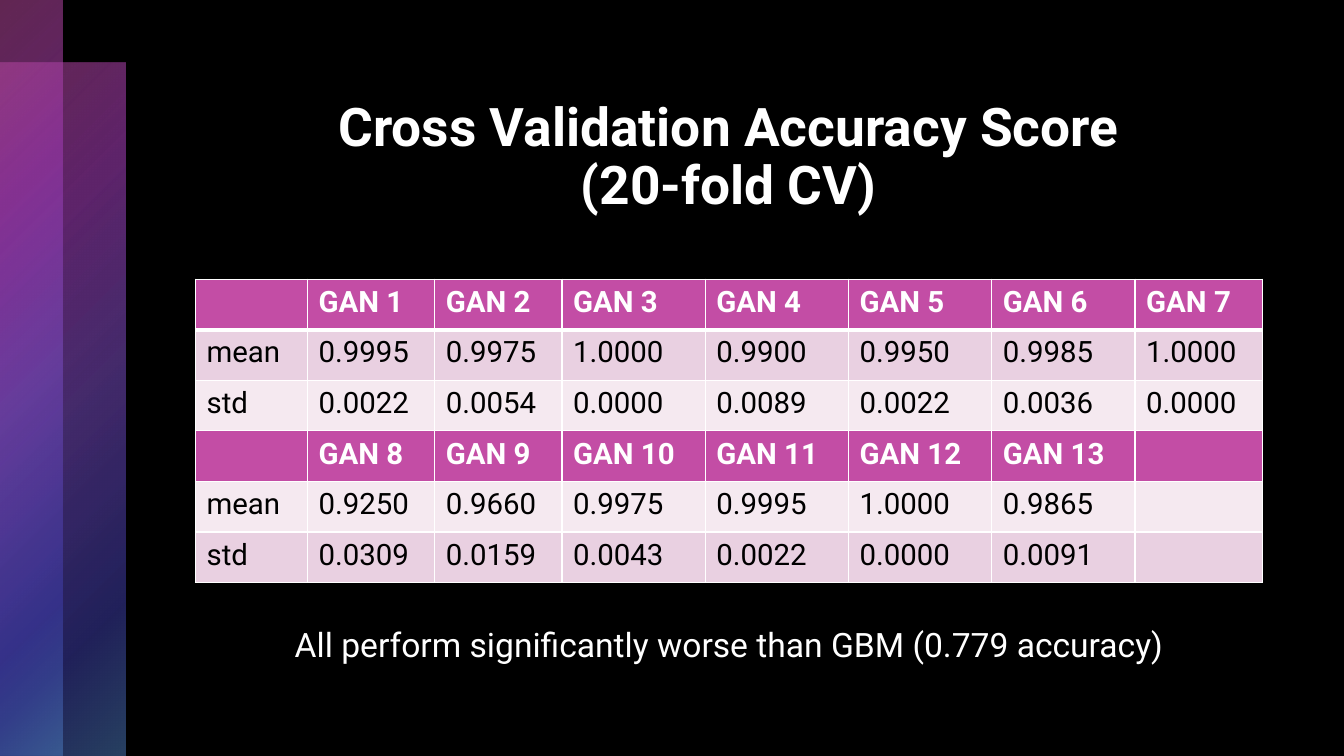
from dataclasses import dataclass

from pptx import Presentation
from pptx.dml.color import RGBColor
from pptx.enum.shapes import MSO_SHAPE as Shape
from pptx.enum.text import MSO_ANCHOR as Anchor, MSO_AUTO_SIZE as Fit, PP_ALIGN as Align
from pptx.oxml import parse_xml
from pptx.util import Emu, Inches, Pt

WIDE, HIGH = Inches(13.33), Inches(7.5)
FONT = "Roboto"
WHITE, BLACK, PINK, ROSE, PALE = "FFFFFF", "000000", "C34DA5", "E9D0E1", "F5E9F0"
NS = 'xmlns:a="http://schemas.openxmlformats.org/drawingml/2006/main"'
STOPS = [(0, PINK, 50), (25, "9E3BB1", 60), (50, "7E4DC3", 55), (81, "4141B4", 50), (99, "4D7EC3", 50)]


@dataclass(frozen=True)
class Box:
    """A place on a grid of 100 columns by 100 rows."""
    col: float
    row: float
    cols: float
    rows: float

    def emu(self) -> tuple[Emu, Emu, Emu, Emu]:
        """Give left, top, width and height."""
        return across(self.col), down(self.row), across(self.cols), down(self.rows)


@dataclass(frozen=True)
class Row:
    """One table row with its look."""
    cells: tuple[str, ...]
    fill: str
    head: bool = False
    top: int = 1
    base: int = 1


BANDS = [Box(0, 8.27, 9.3, 91.73), Box(0, 0, 4.65, 100)]
TITLE = Box(14.55, 12.67, 79.38, 16.53)
GRID = Box(14.55, 36.93, 79.38, 40.13)
NOTE = Box(14.55, 79.6, 79.38, 8.93)
COLS = [8.33] + [9.47] * 2 + [10.66] * 4 + [9.47]
ROWS = [
    Row(("", *(f"GAN {n}" for n in range(1, 8))), PINK, True, base=3),
    Row(("mean", "0.9995", "0.9975", "1.0000", "0.9900", "0.9950", "0.9985", "1.0000"), ROSE, top=3),
    Row(("std", "0.0022", "0.0054", "0.0000", "0.0089", "0.0022", "0.0036", "0.0000"), PALE),
    Row(("", *(f"GAN {n}" for n in range(8, 14)), ""), PINK, True),
    Row(("mean", "0.9250", "0.9660", "0.9975", "0.9995", "1.0000", "0.9865", ""), PALE),
    Row(("std", "0.0309", "0.0159", "0.0043", "0.0022", "0.0000", "0.0091", ""), ROSE),
]


def across(cols: float) -> Emu:
    """Turn grid columns into a length."""
    return Emu(round(WIDE * cols / 100))


def down(rows: float) -> Emu:
    """Turn grid rows into a length."""
    return Emu(round(HIGH * rows / 100))


def paint(fill, tone: str) -> None:
    """Fill with one solid colour."""
    fill.solid()
    fill.fore_color.rgb = RGBColor.from_string(tone)


def write(para, text: str, size: float, tone: str, bold: bool = False) -> None:
    """Add one run to a paragraph."""
    run = para.add_run()
    run.text = text
    run.font.name, run.font.size, run.font.bold = FONT, Pt(size), bold
    paint(run.font.fill, tone)


def place(shape, box: Box) -> None:
    """Move a shape to its box."""
    shape.left, shape.top, shape.width, shape.height = box.emu()


def draw_band(slide, box: Box) -> None:
    """Draw a see-through gradient band."""
    band = slide.shapes.add_shape(Shape.RECTANGLE, *box.emu())
    stops = "".join(
        f'<a:gs pos="{pos * 1000}"><a:srgbClr val="{tone}"><a:alpha val="{alpha * 1000}"/></a:srgbClr></a:gs>'
        for pos, tone, alpha in STOPS)
    band._element.spPr.insert(2, parse_xml(
        f'<a:gradFill {NS} rotWithShape="1"><a:gsLst>{stops}</a:gsLst>'
        '<a:path path="circle"><a:fillToRect r="100000" b="100000"/></a:path></a:gradFill>'))
    band.line.fill.background()
    band.shadow.inherit = False


def draw_title(slide) -> None:
    """Set the two-line title."""
    title = slide.shapes.title
    place(title, TITLE)
    frame = title.text_frame
    frame.word_wrap, frame.auto_size = True, Fit.NONE
    frame.vertical_anchor = Anchor.MIDDLE
    para = frame.paragraphs[0]
    para.alignment, para.line_spacing = Align.CENTER, 0.9
    write(para, "Cross Validation Accuracy Score", 38, WHITE, True)
    para.add_line_break()
    write(para, "(20-fold CV)", 38, WHITE, True)


def draw_note(slide) -> None:
    """Add the closing remark."""
    frame = slide.shapes.add_textbox(*NOTE.emu()).text_frame
    frame.word_wrap, frame.vertical_anchor = True, Anchor.BOTTOM
    para = frame.paragraphs[0]
    para.alignment, para.line_spacing, para.space_before = Align.CENTER, 1.1, Pt(12)
    write(para, "All perform significantly worse than GBM (0.779 accuracy)", 24, WHITE)


def edge(cell, row: Row) -> None:
    """Rule the four sides of a cell."""
    props = cell._tc.get_or_add_tcPr()
    for side, width in zip("LRTB", (1, 1, row.top, row.base)):
        props.append(parse_xml(
            f'<a:ln{side} {NS} w="{Pt(width)}"><a:solidFill><a:srgbClr val="{WHITE}"/></a:solidFill></a:ln{side}>'))


def draw_table(slide) -> None:
    """Build the table of scores."""
    table = slide.shapes.add_table(len(ROWS), len(COLS), *GRID.emu()).table
    table.first_row = table.horz_banding = False
    for col, width in zip(table.columns, COLS):
        col.width = across(width)
    for line, row in zip(table.rows, ROWS):
        line.height = down(GRID.rows / len(ROWS))
        for cell, text in zip(line.cells, row.cells):
            cell.margin_left = cell.margin_right = Inches(0.11)
            cell.margin_top = cell.margin_bottom = Inches(0.06)
            edge(cell, row)
            paint(cell.fill, row.fill)
            if text:
                write(cell.text_frame.paragraphs[0], text, 21, WHITE if row.head else BLACK, row.head)


def main() -> None:
    """Build and save the slide."""
    deck = Presentation()
    deck.slide_width, deck.slide_height = WIDE, HIGH
    slide = deck.slides.add_slide(deck.slide_layouts[5])
    paint(slide.background.fill, BLACK)
    for box in BANDS:
        draw_band(slide, box)
    draw_title(slide)
    draw_note(slide)
    draw_table(slide)
    deck.save("out.pptx")


if __name__ == "__main__":
    main()
